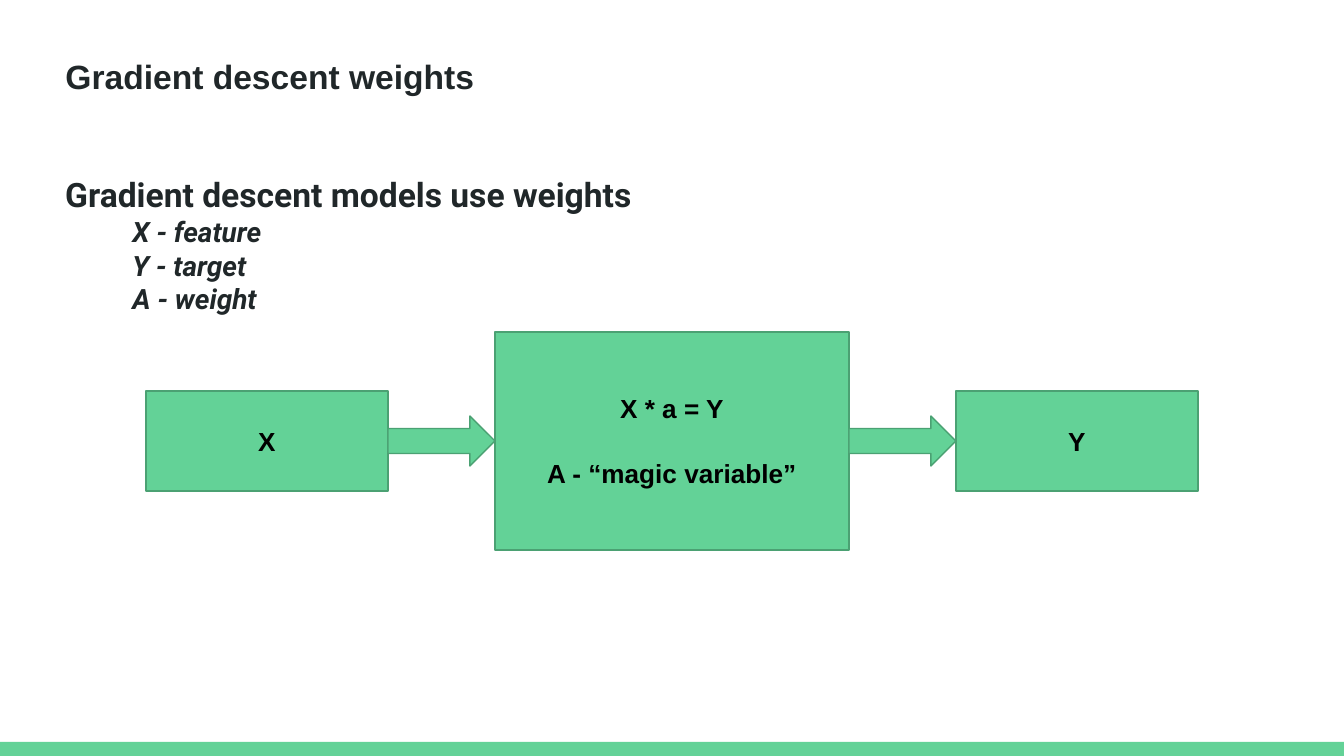
import pptx
import pptx.util
import pptx.dml.color
import pptx.enum.shapes
import pptx.enum.text

PX = 914400 / 134.4
WIDTH, HEIGHT = 1344, 756
GREEN, EDGE, DARK, BLACK = "63D297", "4BA173", "202729", "000000"
SHAPE = pptx.enum.shapes.MSO_SHAPE
ALIGN = pptx.enum.text.PP_ALIGN
ANCHOR = pptx.enum.text.MSO_ANCHOR

TITLE = "Gradient descent weights"
HEADING = "Gradient descent models use weights"
LEGEND = ["X - feature", "Y - target", "A - weight"]
# Boxes from left to right: lines of text, width, height
FLOW = [
    (["X"], 242, 100),
    (["X * a = Y", "A - “magic variable”"], 354, 218),
    (["Y"], 242, 100),
]
FLOW_LEFT, FLOW_MIDDLE = 146, 441
ARROW_W, ARROW_H = 107, 50
BAR_H = 14


def px(n):
    return pptx.util.Emu(round(n * PX))


def rgb(value):
    return pptx.dml.color.RGBColor.from_string(value)


def set_frame(tf, anchor):
    tf.word_wrap = True
    tf.auto_size = pptx.enum.text.MSO_AUTO_SIZE.NONE
    tf.vertical_anchor = anchor
    tf.margin_left = tf.margin_right = pptx.util.Inches(0.1)
    tf.margin_top = tf.margin_bottom = pptx.util.Inches(0.1)


def add_lines(tf, lines, size, font, color, align=ALIGN.LEFT, italic=False):
    """Write each line as a bold paragraph, filling an empty first one."""
    paragraphs = []
    for line in lines:
        p = tf.paragraphs[0] if not tf.text else tf.add_paragraph()
        p.alignment = align
        r = p.add_run()
        r.text = line
        r.font.size = pptx.util.Pt(size)
        r.font.name = font
        r.font.bold = True
        r.font.italic = italic
        r.font.color.rgb = rgb(color)
        paragraphs.append(p)
    return paragraphs


def add_green(s, kind, x, y, w, h, outlined=True):
    sp = s.shapes.add_shape(kind, px(x), px(y), px(w), px(h))
    sp.shadow.inherit = False
    sp.fill.solid()
    sp.fill.fore_color.rgb = rgb(GREEN)
    if outlined:
        sp.line.color.rgb = rgb(EDGE)
        sp.line.width = pptx.util.Pt(0.75)
    else:
        sp.line.fill.background()
    return sp


def add_title(s):
    sp = s.shapes.title
    sp.left, sp.top, sp.width, sp.height = px(52), px(42), px(614), px(67)
    set_frame(sp.text_frame, ANCHOR.TOP)
    add_lines(sp.text_frame, [TITLE], 18, "Arial", DARK)


def add_legend(s):
    tf = s.shapes.add_textbox(px(52), px(161), px(732), px(169)).text_frame
    set_frame(tf, ANCHOR.TOP)
    add_lines(tf, [HEADING], 18, "Roboto", DARK)
    for p in add_lines(tf, LEGEND, 15, "Roboto", DARK, italic=True):
        p._p.get_or_add_pPr().set("marL", str(pptx.util.Inches(0.5)))


def add_flow(s):
    x = FLOW_LEFT
    for i, (lines, w, h) in enumerate(FLOW):
        if i:
            add_green(s, SHAPE.RIGHT_ARROW, x, FLOW_MIDDLE - ARROW_H / 2, ARROW_W, ARROW_H)
            x += ARROW_W
        sp = add_green(s, SHAPE.RECTANGLE, x, FLOW_MIDDLE - h / 2, w, h)
        set_frame(sp.text_frame, ANCHOR.MIDDLE)
        paragraphs = add_lines(sp.text_frame, lines, 14, "Arial", BLACK, ALIGN.CENTER)
        for p in paragraphs[1:]:
            p.space_before = pptx.util.Pt(18)
        x += w


def main():
    prs = pptx.Presentation()
    prs.slide_width, prs.slide_height = px(WIDTH), px(HEIGHT)
    s = prs.slides.add_slide(prs.slide_layouts[5])
    add_green(s, SHAPE.RECTANGLE, 0, HEIGHT - BAR_H, WIDTH, BAR_H, outlined=False)
    add_title(s)
    add_legend(s)
    add_flow(s)
    prs.save("out.pptx")


if __name__ == "__main__":
    main()
